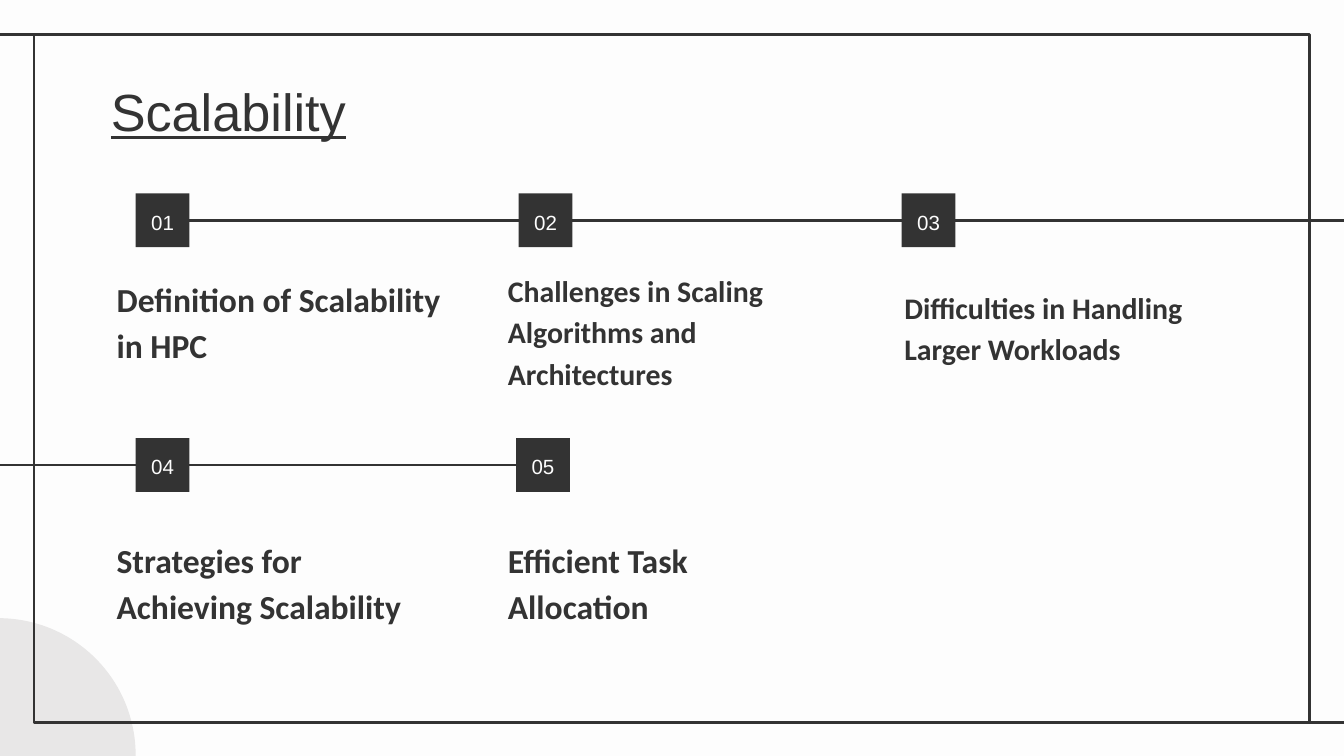
from lxml import etree
from pptx import Presentation
from pptx.dml.color import RGBColor
from pptx.enum.shapes import MSO_CONNECTOR, MSO_SHAPE
from pptx.enum.text import MSO_ANCHOR, PP_ALIGN
from pptx.oxml.ns import qn
from pptx.util import Pt

RECT, OVAL = MSO_SHAPE.RECTANGLE, MSO_SHAPE.OVAL
LINE = MSO_CONNECTOR.STRAIGHT
TOP, MID, LOW = MSO_ANCHOR.TOP, MSO_ANCHOR.MIDDLE, MSO_ANCHOR.BOTTOM
LEFT, MIDST = PP_ALIGN.LEFT, PP_ALIGN.CENTER

HUES = {"ink": "333333", "paper": "FDFDFD", "disc": "E8E7E7"}
SIDE = 28.8  # edge of a number square
ROWS = (103.7, 234.7)  # tops of the two rows of squares

# number, square left, row, label, label box, label size
STEPS = [
    ("01", 72.7, 0, "Definition of Scalability in HPC", (55.4, 145.4, 195.1, 57.6), 18),
    ("02", 277.9, 0, "Challenges in Scaling Algorithms and Architectures",
     (265, 145.4, 181.4, 71.3), 16),
    ("03", 483.1, 0, "Difficulties in Handling Larger Workloads",
     (477.4, 145.4, 181.4, 58.3), 16),
    ("04", 72.7, 1, "Strategies for Achieving Scalability", (55.4, 283.7, 181.4, 59), 18),
    ("05", 276.5, 1, "Efficient Task Allocation", (265, 283.7, 181.4, 59), 18),
]


def hue(name):
    return RGBColor.from_string(HUES[name])


def add_form(slide, kind, box, fill=None, line=None):
    form = slide.shapes.add_shape(kind, *map(Pt, box))
    form.shadow.inherit = False
    if fill:
        form.fill.solid()
        form.fill.fore_color.rgb = hue(fill)
    else:
        form.fill.background()
    if line:
        form.line.color.rgb = hue(line)
        form.line.width = Pt(1.5)
    else:
        form.line.fill.background()
    return form


def add_line(slide, start, end, y):
    rule = slide.shapes.add_connector(LINE, Pt(start), Pt(y), Pt(end), Pt(y))
    rule.line.color.rgb = hue("ink")
    rule.line.width = Pt(1.5)
    etree.SubElement(rule.element.spPr, qn("a:effectLst"))


def put_text(form, text, size, font="Arial", color="ink", bold=False,
             under=False, align=LEFT, anchor=TOP, space=1.15):
    frame = form.text_frame
    frame.word_wrap = True
    frame.vertical_anchor = anchor
    frame.margin_left = frame.margin_right = Pt(7.2)
    frame.margin_top = frame.margin_bottom = Pt(7.2)
    para = frame.paragraphs[0]
    para.alignment = align
    para.line_spacing = space
    run = para.add_run()
    run.text = text
    run.font.name = font
    run.font.size = Pt(size)
    run.font.bold = bold
    run.font.underline = under
    run.font.color.rgb = hue(color)


def add_text(slide, box, text, **style):
    put_text(slide.shapes.add_textbox(*map(Pt, box)), text, **style)


def add_step(slide, num, left, row, label, box, size):
    square = add_form(slide, RECT, (left, ROWS[row], SIDE, SIDE), fill="ink")
    put_text(square, num, size=11, color="paper", align=MIDST, anchor=MID)
    add_text(slide, box, label, size=size, font="Calibri", bold=True, anchor=LOW)


def main():
    deck = Presentation()
    deck.slide_width, deck.slide_height = Pt(720), Pt(405)
    slide = deck.slides.add_slide(deck.slide_layouts[6])
    slide.background.fill.solid()
    slide.background.fill.fore_color.rgb = hue("paper")

    # Corner disc and frame
    add_form(slide, OVAL, (-74.2, 331.2, 146.9, 146.9), fill="disc")
    add_form(slide, RECT, (18.2, 18.3, 683.3, 368.6), line="ink")
    add_line(slide, 18.7, 0, 18.3)
    add_line(slide, 720, 701.5, 386.9)

    # Lines behind the squares
    add_line(slide, 276.5, 0, ROWS[1] + SIDE / 2)
    add_line(slide, 101.5, 720, ROWS[0] + SIDE / 2)

    # Title and steps
    add_text(slide, (52.3, 35.3, 607, 45.4), "Scalability", size=28,
             under=True, space=1)
    for step in STEPS:
        add_step(slide, *step)

    deck.save("out.pptx")


if __name__ == "__main__":
    main()
